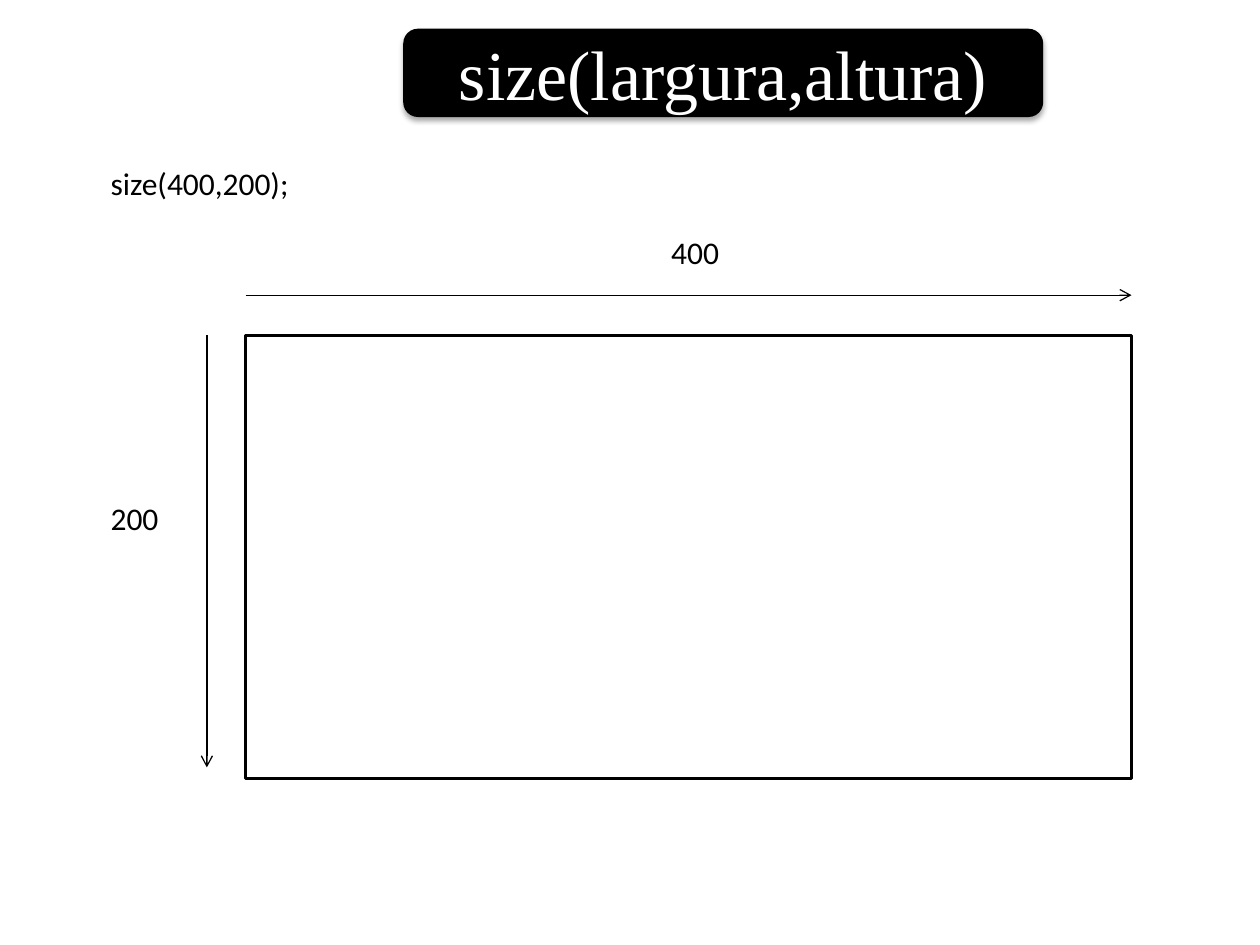
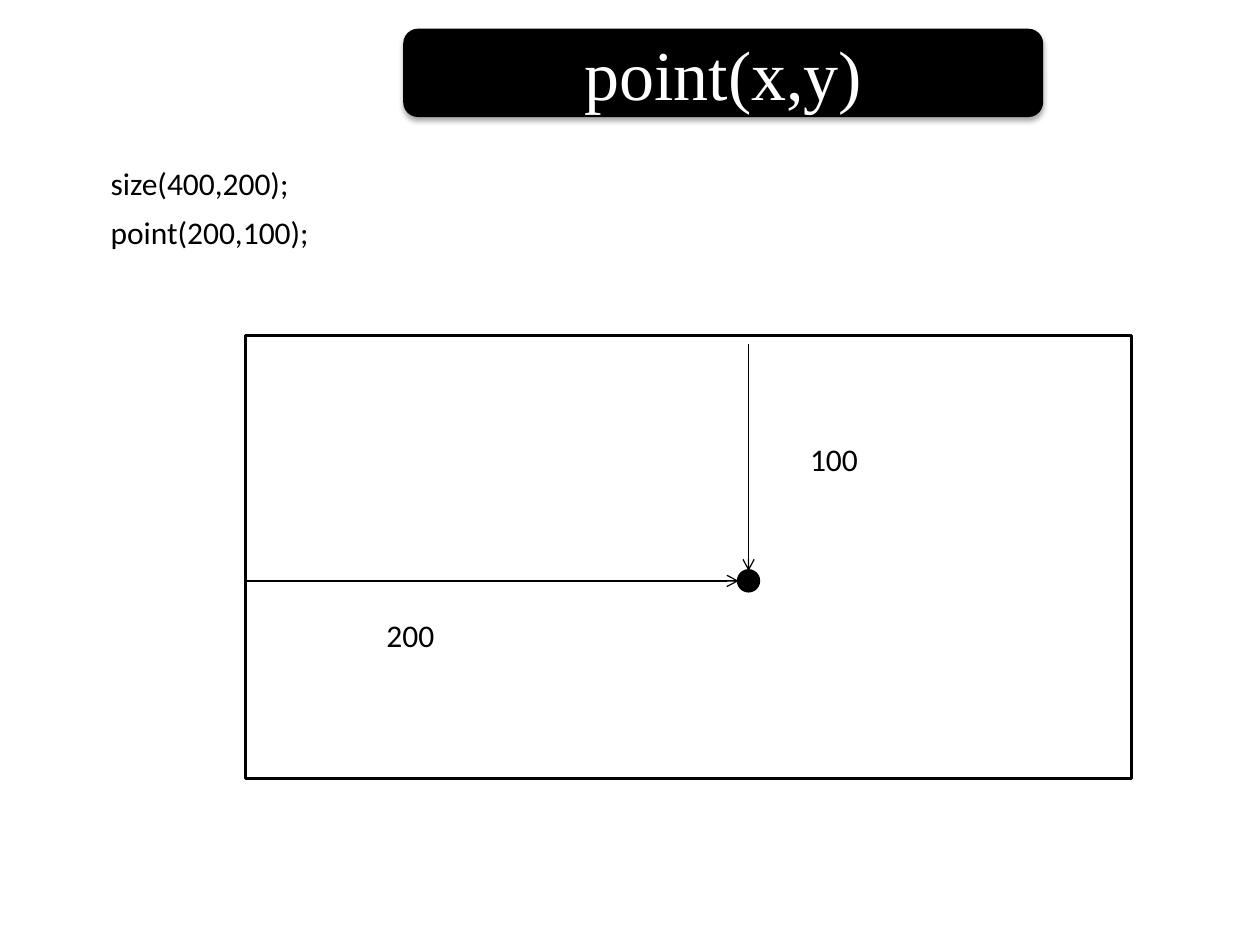
from lxml import etree
from pptx import Presentation
from pptx.dml.color import RGBColor
from pptx.enum.shapes import MSO_CONNECTOR, MSO_SHAPE
from pptx.enum.text import MSO_ANCHOR, MSO_AUTO_SIZE, PP_ALIGN
from pptx.oxml import parse_xml
from pptx.oxml.ns import nsdecls, qn
from pptx.util import Cm, Pt

BLACK = RGBColor(0, 0, 0)
WHITE = RGBColor(255, 255, 255)
ROUND, RECT, OVAL = MSO_SHAPE.ROUNDED_RECTANGLE, MSO_SHAPE.RECTANGLE, MSO_SHAPE.OVAL
STRAIGHT = MSO_CONNECTOR.STRAIGHT
MIDDLE, CENTER = MSO_ANCHOR.MIDDLE, PP_ALIGN.CENTER
FIXED, GROW = MSO_AUTO_SIZE.NONE, MSO_AUTO_SIZE.SHAPE_TO_FIT_TEXT

BAND = (8.13, 0.58, 12.9, 1.78)
LEFT, TOP, WIDE, HIGH = 4.95, 6.76, 17.86, 8.94   # the drawing window
MARGIN, CODE_TOP, CODE_STEP = 1.98, 3.18, 0.99
DOT_X, DOT_Y, DOT_R = 15.09, 11.71, 0.2

SHADOW = (
    f'<a:effectLst {nsdecls("a")}>'
    f'<a:outerShdw blurRad="{Pt(3.1)}" dist="{Pt(1.8)}" dir="5400000" rotWithShape="0">'
    '<a:srgbClr val="000000"><a:alpha val="35000"/></a:srgbClr>'
    '</a:outerShdw></a:effectLst>'
)


class Deck:
    def __init__(self):
        self.prs = Presentation()
        self.prs.slide_width, self.prs.slide_height = Cm(25.4), Cm(19.05)
        self.slide = None

    def start(self, title, *code):
        """Add a slide with its title band, code lines and drawing window."""
        self.slide = self.prs.slides.add_slide(self.prs.slide_layouts[5])
        self.title(title)
        for row, line in enumerate(code):
            self.label(line, MARGIN, CODE_TOP + row * CODE_STEP, 4.57)
        self.shape(RECT, LEFT, TOP, WIDE, HIGH, WHITE, 2)

    def title(self, text):
        band = self.shape(ROUND, *BAND, BLACK)
        props = band._element.spPr
        props.remove(props.find(qn("a:effectLst")))
        props.append(parse_xml(SHADOW))

        head = self.slide.shapes.title
        head.left, head.top, head.width, head.height = map(Cm, BAND)
        # The title must lie in front of its band.
        self.slide.shapes._spTree.append(head._element)
        frame = head.text_frame
        frame.text = text
        frame.auto_size = FIXED
        frame.vertical_anchor = MIDDLE
        frame.paragraphs[0].alignment = CENTER
        self.font(frame, "Times New Roman", 40, WHITE)

    def font(self, frame, name, size, color):
        font = frame.paragraphs[0].font
        font.name, font.size = name, Pt(size)
        font.color.rgb = color

    def label(self, text, x, y, width=1.6):
        box = self.slide.shapes.add_textbox(Cm(x), Cm(y), Cm(width), Cm(1.02))
        frame = box.text_frame
        frame.text = text
        frame.word_wrap = True
        frame.auto_size = GROW
        self.font(frame, "Calibri", 18, BLACK)

    def shape(self, kind, x, y, width, height, fill, line=0):
        item = self.slide.shapes.add_shape(kind, Cm(x), Cm(y), Cm(width), Cm(height))
        item.shadow.inherit = False
        item.fill.solid()
        item.fill.fore_color.rgb = fill
        if line:
            item.line.color.rgb = BLACK
            item.line.width = Pt(line)
        else:
            item.line.fill.background()
        return item

    def arrow(self, x1, y1, x2, y2):
        item = self.slide.shapes.add_connector(STRAIGHT, Cm(x1), Cm(y1), Cm(x2), Cm(y2))
        item.line.color.rgb = BLACK
        item.line.width = Pt(0.75)
        etree.SubElement(item.line._get_or_add_ln(), qn("a:tailEnd"), type="arrow")
        etree.SubElement(item._element.spPr, qn("a:effectLst"))


def main():
    deck = Deck()

    deck.start("size(largura,altura)", "size(400,200);")
    deck.arrow(4.17, TOP, 4.17, 15.47)
    deck.arrow(LEFT, 5.95, LEFT + WIDE, 5.95)
    deck.label("400", 13.28, 4.57)
    deck.label("200", MARGIN, 9.93)

    deck.start("point(x,y)", "size(400,200);", "point(200,100);")
    deck.arrow(DOT_X, 6.93, DOT_X, DOT_Y - DOT_R)
    deck.arrow(LEFT, DOT_Y, DOT_X - DOT_R, DOT_Y)
    deck.label("100", 16.08, 8.74)
    deck.label("200", 7.54, 12.29)
    deck.shape(OVAL, DOT_X - DOT_R, DOT_Y - DOT_R, 2 * DOT_R, 2 * DOT_R, BLACK, 2)

    deck.prs.save("out.pptx")


if __name__ == "__main__":
    main()
